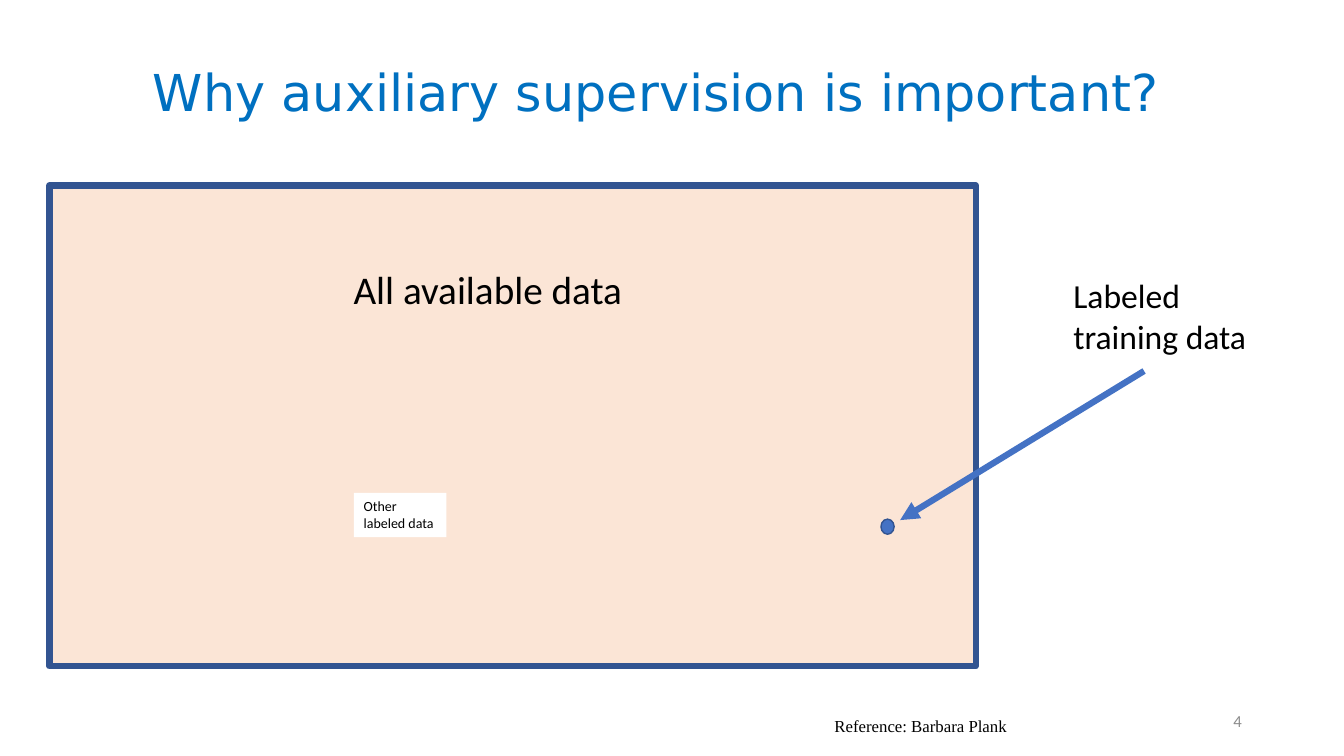
"""Build the slide on auxiliary supervision."""
import pptx
import pptx.dml.color
import pptx.enum.shapes
import pptx.enum.text
import pptx.oxml
import pptx.oxml.ns
import pptx.util
from pptx.util import Pt

SHAPE = pptx.enum.shapes.MSO_SHAPE
ALIGN = pptx.enum.text.PP_ALIGN
ANCHOR = pptx.enum.text.MSO_ANCHOR
BLUE, NAVY, PEACH = "4472C4", "325491", "FBE5D6"


def paint(color, value):
    """Set a colour from a hex string."""
    color.rgb = pptx.dml.color.RGBColor.from_string(value)


def write(shape, text, size, color="000000", font="Calibri",
          align=ALIGN.LEFT, anchor=ANCHOR.TOP, space=None):
    """Put one styled paragraph in a shape."""
    frame = shape.text_frame
    frame.text = text
    frame.word_wrap = True
    frame.vertical_anchor = anchor
    para = frame.paragraphs[0]
    para.alignment = align
    para.line_spacing = space
    run = para.runs[0]
    run.font.size = Pt(size)
    run.font.name = font
    paint(run.font.color, color)


def label(slide, place, text, size, **style):
    """Add a text box."""
    box = slide.shapes.add_textbox(*map(Pt, place))
    write(box, text, size, **style)


def block(slide, kind, place, fill, line=None, width=1):
    """Add a filled shape with an optional outline."""
    shape = slide.shapes.add_shape(kind, *map(Pt, place))
    shape.shadow.inherit = False
    shape.fill.solid()
    paint(shape.fill.fore_color, fill)
    if line:
        paint(shape.line.color, line)
        shape.line.width = Pt(width)
    else:
        shape.line.fill.background()
    return shape


def arrow(slide, start, end, color, width):
    """Add a straight arrow."""
    kind = pptx.enum.shapes.MSO_CONNECTOR.STRAIGHT
    link = slide.shapes.add_connector(kind, *map(Pt, start + end))
    paint(link.line.color, color)
    link.line.width = Pt(width)
    head = pptx.oxml.parse_xml(
        f'<a:tailEnd {pptx.oxml.ns.nsdecls("a")} type="triangle"/>')
    link.line._get_or_add_ln().append(head)
    props = link._element.spPr
    props.append(pptx.oxml.parse_xml(
        f'<a:effectLst {pptx.oxml.ns.nsdecls("a")}/>'))


def main():
    """Build and save the slide."""
    deck = pptx.Presentation()
    deck.slide_width, deck.slide_height = Pt(960), Pt(540)
    slide = deck.slides.add_slide(deck.slide_layouts[6])

    label(slide, (102.2, 36.7, 751, 64.8),
          "Why auxiliary supervision is important?", 36.3, color="0070C0",
          font="DejaVu Sans", anchor=ANCHOR.MIDDLE, space=0.8)
    block(slide, SHAPE.RECTANGLE, (35.3, 132.5, 661.7, 343.4),
          PEACH, NAVY, 4.5)
    label(slide, (245.5, 185.8, 304.6, 41), "All available data", 28)
    arrow(slide, (817.2, 265), (643, 371.5), BLUE, 4.5)
    label(slide, (759.6, 193, 147.6, 65.5), "Labeled training data", 24)
    block(slide, SHAPE.OVAL, (629.3, 370.8, 9.4, 10.8), BLUE, NAVY)
    other = block(slide, SHAPE.RECTANGLE, (252.7, 352.1, 66.2, 31.7),
                  "FFFFFF")
    write(other, "Other labeled data", 10)
    label(slide, (589, 507.6, 141, 36), "Reference: Barbara Plank", 12,
          font="Times New Roman")
    label(slide, (678.2, 500.4, 216, 28.8), "4", 12, color="8C8C8C",
          align=ALIGN.RIGHT, anchor=ANCHOR.MIDDLE)
    deck.save("out.pptx")


if __name__ == "__main__":
    main()
